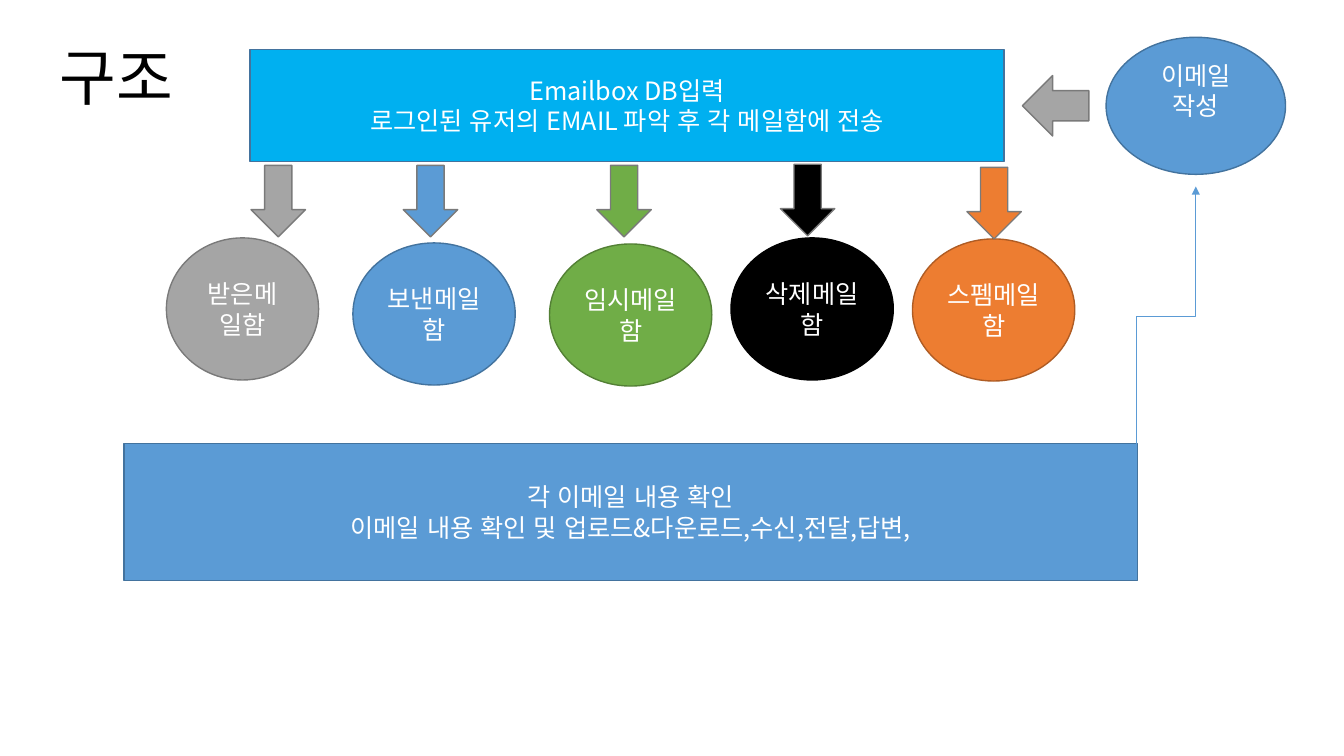
from dataclasses import dataclass

from lxml.etree import SubElement
from pptx import Presentation
from pptx.dml.color import RGBColor
from pptx.enum.lang import MSO_LANGUAGE_ID as Language
from pptx.enum.shapes import MSO_CONNECTOR as Connector, MSO_SHAPE as Preset
from pptx.enum.text import MSO_ANCHOR as Anchor, PP_ALIGN as Align
from pptx.oxml.ns import qn
from pptx.shapes.autoshape import Shape
from pptx.slide import Slide
from pptx.text.text import TextFrame
from pptx.util import Inches, Pt


@dataclass(frozen=True)
class Theme:
    """Colours, font and sizes of the slide."""
    font: str = "Noto Sans CJK KR"
    title_size: int = 44
    body_size: int = 18
    outline: float = 1
    thin_line: float = 0.5
    text: str = "000000"
    white: str = "FFFFFF"
    gray: str = "A5A5A5"
    gray_edge: str = "7A7A7A"
    blue: str = "5B9BD5"
    blue_edge: str = "43739E"
    sky: str = "00B0F0"
    green: str = "70AD47"
    green_edge: str = "538035"
    black: str = "000000"
    orange: str = "ED7D31"
    orange_edge: str = "AF5C24"


THEME = Theme()


@dataclass(frozen=True)
class Box:
    """Position and size in inches."""
    left: float
    top: float
    width: float
    height: float

    def lengths(self) -> list[Inches]:
        """Return the four values as lengths."""
        return [Inches(v) for v in (self.left, self.top, self.width, self.height)]


@dataclass(frozen=True)
class Node:
    """A filled, outlined shape with optional text."""
    preset: Preset
    box: Box
    fill: str
    edge: str
    text: str = ""


@dataclass(frozen=True)
class Mailbox:
    """A mailbox circle and the arrow that feeds it."""
    name: str
    left: float
    top: float
    arrow_left: float
    arrow_top: float
    fill: str
    edge: str
    width: float = 1.61

    def nodes(self) -> list[Node]:
        """Return the circle and its arrow."""
        circle = Box(self.left, self.top, self.width, 1.41)
        arrow = Box(self.arrow_left, self.arrow_top, 0.54, 0.71)
        return [Node(Preset.OVAL, circle, self.fill, self.edge, self.name),
                Node(Preset.DOWN_ARROW, arrow, self.fill, THEME.gray_edge)]


MAILBOXES = [
    Mailbox("받은메일함", 1.65, 2.36, 2.49, 1.64, THEME.gray, THEME.gray_edge, 1.51),
    Mailbox("보낸메일함", 3.5, 2.41, 4, 1.64, THEME.blue, THEME.blue_edge),
    Mailbox("임시메일함", 5.45, 2.42, 5.92, 1.64, THEME.green, THEME.green_edge),
    Mailbox("삭제메일함", 7.25, 2.36, 7.74, 1.63, THEME.black, THEME.black),
    Mailbox("스펨메일함", 9.05, 2.37, 9.59, 1.66, THEME.orange, THEME.orange_edge),
]
DATABASE = Node(Preset.RECTANGLE, Box(2.48, 0.49, 7.48, 1.11), THEME.sky, THEME.blue_edge,
                "Emailbox DB입력\n로그인된 유저의 EMAIL 파악 후 각 메일함에 전송")
READING = Node(Preset.RECTANGLE, Box(1.23, 4.4, 10.05, 1.36), THEME.blue, THEME.blue_edge,
               "각 이메일 내용 확인\n이메일 내용 확인 및 업로드&다운로드,수신,전달,답변,")
COMPOSE = Node(Preset.OVAL, Box(10.97, 0.37, 1.78, 1.36), THEME.blue, THEME.blue_edge,
               "이메일 작성")
SEND_ARROW = Node(Preset.LEFT_ARROW, Box(10.14, 0.75, 0.66, 0.6), THEME.gray, THEME.gray_edge)


def write_text(frame: TextFrame, text: str, size: float, color: str) -> None:
    """Fill a text frame with centred, wrapped text."""
    frame.text = text
    frame.word_wrap = True
    frame.vertical_anchor = Anchor.MIDDLE
    for paragraph in frame.paragraphs:
        paragraph.alignment = Align.CENTER
        for run in paragraph.runs:
            run.font.name = THEME.font
            run.font.size = Pt(size)
            run.font.color.rgb = RGBColor.from_string(color)
            run.font.language_id = Language.KOREAN
            SubElement(run.font._element, qn("a:ea"), typeface=THEME.font)


def add_title(slide: Slide, text: str, box: Box) -> None:
    """Add the slide heading."""
    frame = slide.shapes.add_textbox(*box.lengths()).text_frame
    write_text(frame, text, THEME.title_size, THEME.text)
    frame.paragraphs[0].line_spacing = 0.9


def add_node(slide: Slide, node: Node) -> Shape:
    """Draw a node and return its shape."""
    shape = slide.shapes.add_shape(node.preset, *node.box.lengths())
    shape.shadow.inherit = False
    shape.fill.solid()
    shape.fill.fore_color.rgb = RGBColor.from_string(node.fill)
    shape.line.color.rgb = RGBColor.from_string(node.edge)
    shape.line.width = Pt(THEME.outline)
    if node.text:
        write_text(shape.text_frame, node.text, THEME.body_size, THEME.white)
    return shape


def add_upward_elbow(slide: Slide, start: tuple[float, float], end: tuple[float, float]) -> None:
    """Draw an elbow arrow that leaves and arrives vertically."""
    center_x, center_y = (start[0] + end[0]) / 2, (start[1] + end[1]) / 2
    half_run, half_rise = (start[1] - end[1]) / 2, (end[0] - start[0]) / 2
    connector = slide.shapes.add_connector(
        Connector.ELBOW,
        Inches(center_x + half_run), Inches(center_y + half_rise),
        Inches(center_x - half_run), Inches(center_y - half_rise))
    connector.line.color.rgb = RGBColor.from_string(THEME.blue)
    connector.line.width = Pt(THEME.thin_line)
    properties = connector._element.spPr
    properties.find(qn("a:xfrm")).set("rot", str(90 * 60000))
    SubElement(properties.find(qn("a:ln")), qn("a:tailEnd"), type="triangle")
    SubElement(properties, qn("a:effectLst"))


def main() -> None:
    """Build and save the slide."""
    presentation = Presentation()
    presentation.slide_width, presentation.slide_height = Inches(13.33), Inches(7.5)
    slide = presentation.slides.add_slide(presentation.slide_layouts[6])
    add_title(slide, "구조", Box(0, -0.01, 2.31, 1.62))
    circles, arrows = zip(*(mailbox.nodes() for mailbox in MAILBOXES))
    for node in (*circles, DATABASE, READING):
        add_node(slide, node)
    compose_frame = add_node(slide, COMPOSE).text_frame
    compose_frame.margin_top, compose_frame.margin_bottom = Inches(0), Inches(0.3)
    add_node(slide, SEND_ARROW)
    add_upward_elbow(slide, (11.27, 4.42), (11.86, 1.85))
    for arrow in arrows:
        add_node(slide, arrow)
    presentation.save("out.pptx")


main()
